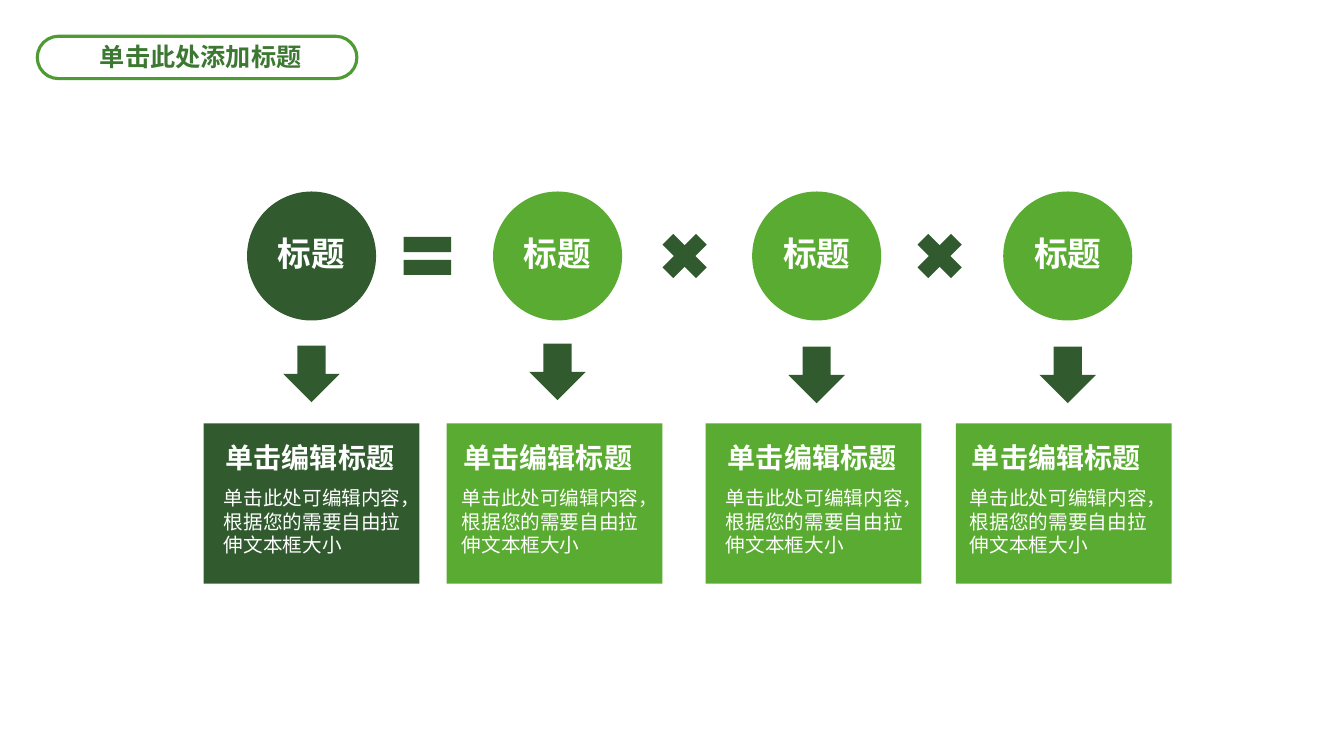
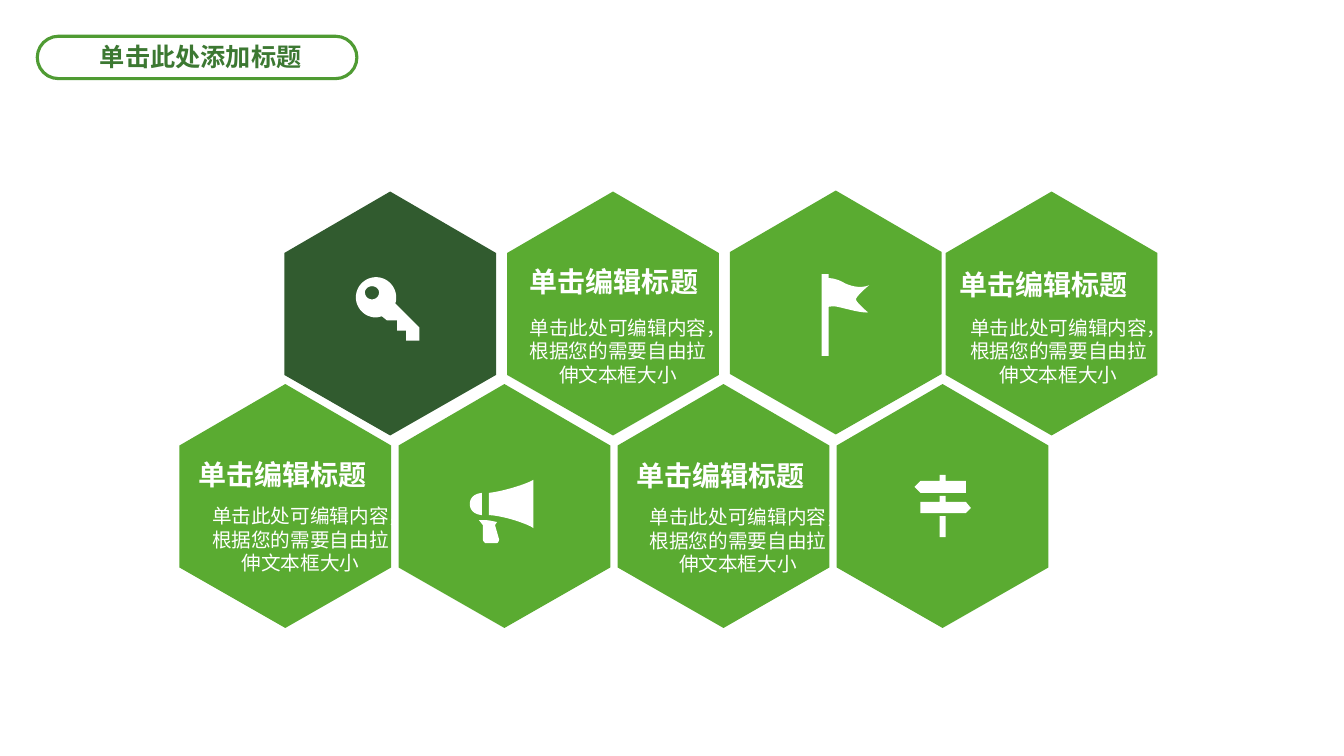
from lxml import etree
from pptx import Presentation
from pptx.dml.color import RGBColor
from pptx.enum.lang import MSO_LANGUAGE_ID
from pptx.enum.shapes import MSO_SHAPE
from pptx.enum.text import MSO_ANCHOR, PP_ALIGN
from pptx.oxml.ns import qn
from pptx.util import Inches, Pt

OVAL, RECT, ROUND_RECT = MSO_SHAPE.OVAL, MSO_SHAPE.RECTANGLE, MSO_SHAPE.ROUNDED_RECTANGLE
EQUALS, TIMES, DOWN_ARROW = MSO_SHAPE.MATH_EQUAL, MSO_SHAPE.MATH_MULTIPLY, MSO_SHAPE.DOWN_ARROW
LEFT, CENTER = PP_ALIGN.LEFT, PP_ALIGN.CENTER
TOP, MIDDLE = MSO_ANCHOR.TOP, MSO_ANCHOR.MIDDLE
CHINESE = MSO_LANGUAGE_ID.SIMPLIFIED_CHINESE

DARK, GREEN, WHITE = "315B2F", "5AAB31", "FFFFFF"
PILL_LINE, TITLE_COLOR = "4F9B33", "3C7832"
CJK, LATIN = "Noto Sans CJK SC", "Arial"
HEADING = "单击编辑标题"
BODY = "单击此处可编辑内容，根据您的需要自由拉伸文本框大小"


def paint(shape, color):
    """Flat fill without outline or shadow."""
    shape.shadow.inherit = False
    shape.fill.solid()
    shape.fill.fore_color.rgb = RGBColor.from_string(color)
    shape.line.fill.background()


def write(shape, text, size, bold, align=LEFT, anchor=TOP, font=LATIN, color=WHITE, margin=0):
    """Put one formatted run in the shape and return its paragraph."""
    frame = shape.text_frame
    frame.word_wrap = True
    frame.vertical_anchor = anchor
    frame.margin_left = frame.margin_right = Inches(margin)
    frame.margin_top = frame.margin_bottom = Inches(margin / 2)
    paragraph = frame.paragraphs[0]
    paragraph.alignment = align
    paragraph._p.get_or_add_pPr().set("hangingPunct", "1")
    run = paragraph.add_run()
    run.text = text
    run.font.size = Pt(size)
    run.font.bold = bold
    run.font.name = font
    run.font.language_id = CHINESE
    run.font.color.rgb = RGBColor.from_string(color)
    east_asian = etree.Element(qn("a:ea"), typeface=CJK)
    run._r.rPr.find(qn("a:latin")).addnext(east_asian)
    return paragraph


prs = Presentation()
prs.slide_width, prs.slide_height = Inches(13.33), Inches(7.5)

# Both slides: title in a rounded outline
slides = [prs.slides.add_slide(prs.slide_layouts[5]) for _ in range(2)]
for slide in slides:
    pill = slide.shapes.add_shape(ROUND_RECT, Inches(0.37), Inches(0.36), Inches(3.17), Inches(0.42))
    pill.adjustments[0] = 0.5
    paint(pill, WHITE)
    pill.line.color.rgb = RGBColor.from_string(PILL_LINE)
    pill.line.width = Pt(2.25)
    title = slide.shapes.title
    title.left, title.top, title.width, title.height = Inches(0.89), Inches(0.36), Inches(2.22), Inches(0.4)
    write(title, "单击此处添加标题", 18, True, font=CJK, color=TITLE_COLOR, margin=0.1)
    pill.element.addnext(title.element)

formula, honeycomb = (slide.shapes for slide in slides)

# Slide 1: one column per term, as centre, arrow top, box left, text left, colour
terms = [
    (3.09, 3.43, 2.02, 2.22, DARK),
    (5.53, 3.41, 4.43, 4.58, GREEN),
    (8.1, 3.44, 7, 7.2, GREEN),
    (10.59, 3.44, 9.48, 9.62, GREEN),
]
for center, arrow_top, box_left, text_left, color in terms:
    circle = formula.add_shape(OVAL, Inches(center - 0.64), Inches(1.9), Inches(1.28), Inches(1.28))
    paint(circle, color)
    write(circle, "标题", 24, True, CENTER, MIDDLE, CJK).line_spacing = 0.9

    arrow = formula.add_shape(DOWN_ARROW, Inches(center - 0.28), Inches(arrow_top), Inches(0.56), Inches(0.56))
    paint(arrow, DARK)

    box = formula.add_shape(RECT, Inches(box_left), Inches(4.2), Inches(2.14), Inches(1.59))
    paint(box, color)
    heading = formula.add_textbox(Inches(text_left + 0.02), Inches(4.37), Inches(1.78), Inches(0.34))
    write(heading, HEADING, 20, True)
    body = formula.add_textbox(Inches(text_left), Inches(4.82), Inches(1.78), Inches(0.71))
    write(body, BODY, 14, False)

# Operators between the circles
for kind, left in [(EQUALS, 3.92), (TIMES, 6.47), (TIMES, 9)]:
    operator = formula.add_shape(kind, Inches(left), Inches(2.22), Inches(0.64), Inches(0.64))
    paint(operator, DARK)

# Slide 2: hexagons, as centre, top, colour
cells = [(3.87, 1.9, DARK), (6.08, 1.9, GREEN), (8.29, 1.89, GREEN), (10.43, 1.9, GREEN)]
cells += [(2.83 + 2.173 * i, 3.81, GREEN) for i in range(4)]
hexagon = [(0, 0), (1.05, 0.61), (1.05, 1.82), (0, 2.42), (-1.05, 1.82), (-1.05, 0.61)]
outlines = [(color, [[(x + dx, y + dy) for dx, dy in hexagon]]) for x, y, color in cells]

# Icon outlines: two numbers are a corner, six are a Bézier curve
key = [
    [(3.92, 3.01), (3.93, 2.99, 3.93, 2.97, 3.93, 2.95), (3.93, 2.84, 3.84, 2.75, 3.73, 2.75),
     (3.62, 2.75, 3.53, 2.84, 3.53, 2.95), (3.53, 3.06, 3.62, 3.15, 3.73, 3.15),
     (3.75, 3.15, 3.77, 3.14, 3.79, 3.14), (3.84, 3.18), (3.94, 3.18), (3.94, 3.28),
     (4.03, 3.28), (4.03, 3.38), (4.16, 3.38), (4.16, 3.25)],
    [(3.69, 2.97), (3.65, 2.97, 3.62, 2.94, 3.62, 2.9), (3.62, 2.87, 3.65, 2.84, 3.69, 2.84),
     (3.73, 2.84, 3.76, 2.87, 3.76, 2.9), (3.76, 2.94, 3.73, 2.97, 3.69, 2.97)],
]
flag = [[(8.49, 2.97), (8.49, 2.94, 8.62, 2.83, 8.62, 2.83), (8.55, 2.86, 8.45, 2.85, 8.36, 2.8),
         (8.27, 2.75, 8.19, 2.76, 8.19, 2.76), (8.19, 3.05), (8.2, 3.05, 8.22, 3.04, 8.28, 3.04),
         (8.35, 3.05, 8.54, 3.11, 8.61, 3.1), (8.61, 3.1, 8.49, 3, 8.49, 2.97)]]
horn = [[(4.85, 5.11), (5.02, 5.12, 5.26, 5.21, 5.29, 5.24), (5.29, 4.76),
         (5.25, 4.79, 5.02, 4.87, 4.85, 4.89)]]
horn_back = [[(4.78, 5.11), (4.78, 4.89), (4.68, 4.9, 4.66, 4.96, 4.66, 5),
              (4.66, 5.04, 4.68, 5.1, 4.78, 5.11)]]
horn_grip = [[(4.75, 5.16), (4.79, 5.21), (4.79, 5.35), (4.79, 5.37, 4.81, 5.39, 4.82, 5.39),
              (4.92, 5.39), (4.94, 5.39, 4.95, 5.37, 4.95, 5.35), (4.91, 5.21), (4.93, 5.18),
              (4.89, 5.17, 4.84, 5.16, 4.8, 5.16)]]
sign_left = [[(9.32, 4.71), (9.38, 4.71), (9.38, 4.77), (9.58, 4.77), (9.58, 4.89),
              (9.13, 4.89), (9.07, 4.83), (9.13, 4.77), (9.32, 4.77)]]
sign_right = [[(9.32, 4.92), (9.38, 4.92), (9.38, 4.98), (9.58, 4.98), (9.63, 5.04),
               (9.58, 5.09), (9.13, 5.09), (9.13, 4.98), (9.32, 4.98)]]
icons = [key, flag, horn, horn_back, horn_grip, sign_left, sign_right]
outlines += [(WHITE, icon) for icon in icons]

for color, contours in outlines:
    builder = None
    for start, *segments in contours:
        points, (x0, y0) = [], start
        for segment in segments:
            x3, y3 = segment[-2:]
            if len(segment) == 6:
                x1, y1, x2, y2 = segment[:4]
                for t in (i / 12 for i in range(1, 12)):
                    a, b, c, d = (1 - t) ** 3, 3 * t * (1 - t) ** 2, 3 * t * t * (1 - t), t ** 3
                    points.append((a * x0 + b * x1 + c * x2 + d * x3, a * y0 + b * y1 + c * y2 + d * y3))
            points.append((x3, y3))
            x0, y0 = x3, y3
        first = Inches(start[0]), Inches(start[1])
        if builder is None:
            builder = honeycomb.build_freeform(*first, scale=1.0)
        else:
            builder.move_to(*first)
        builder.add_line_segments([(Inches(x), Inches(y)) for x, y in points], close=True)
    paint(builder.convert_to_shape(), color)

# Poles of the flag and the signpost
for left, top, width, height in [(8.15, 2.72, 0.07, 0.81), (9.32, 5.12, 0.06, 0.21)]:
    pole = honeycomb.add_shape(RECT, Inches(left), Inches(top), Inches(width), Inches(height))
    paint(pole, WHITE)

# Cell texts, as heading left and top, body left and top
for heading_left, heading_top, body_left, body_top in [
    (4.81, 2.62, 5.19, 3.13),
    (9.07, 2.65, 9.56, 3.13),
    (1.52, 4.54, 2.04, 5),
    (5.87, 4.55, 6.38, 5.01),
]:
    heading = honeycomb.add_textbox(Inches(heading_left), Inches(heading_top), Inches(2.56), Inches(0.34))
    write(heading, HEADING, 20, True, CENTER)
    body = honeycomb.add_textbox(Inches(body_left), Inches(body_top), Inches(1.88), Inches(0.71))
    write(body, BODY, 14, False, CENTER)

prs.save("out.pptx")
